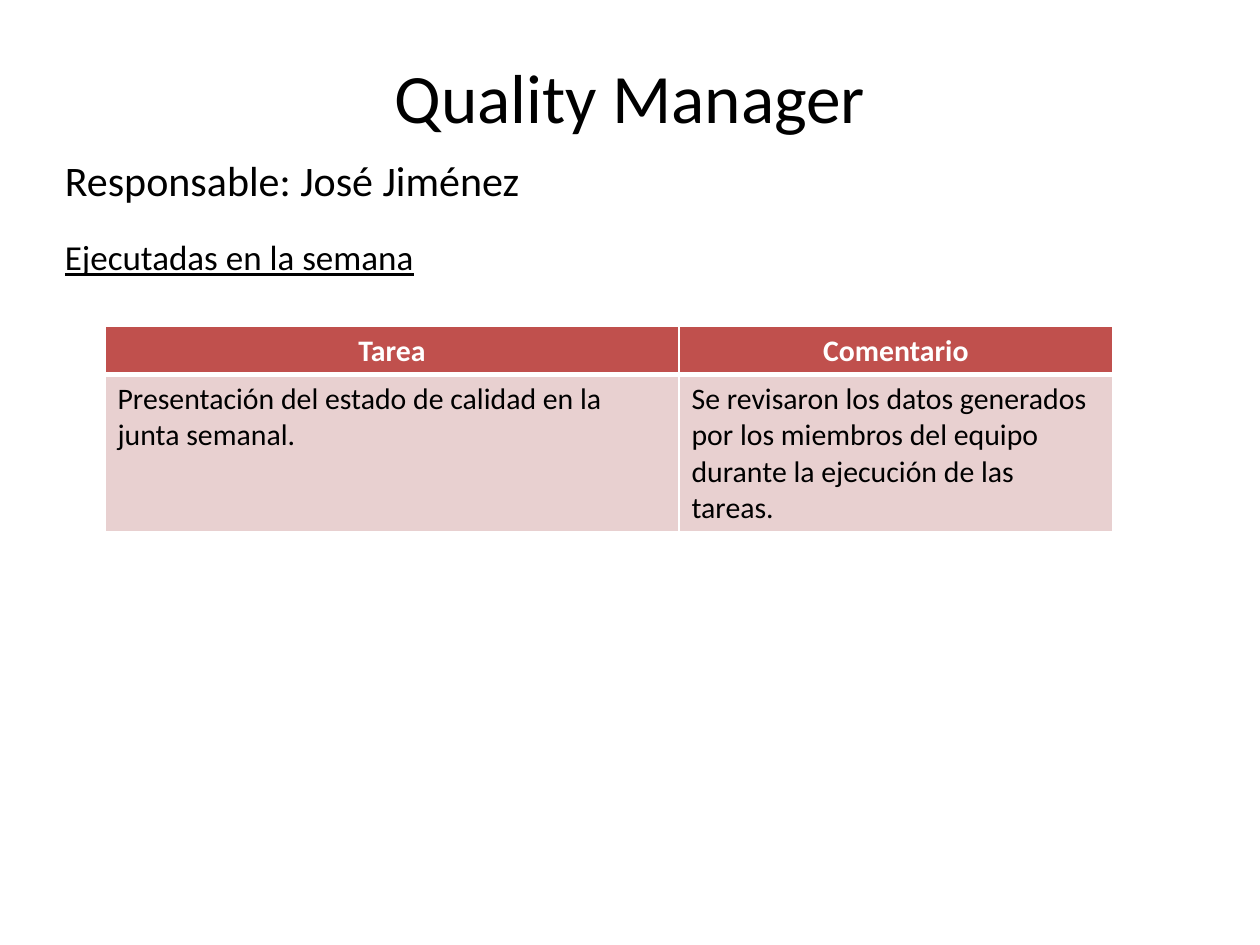
from lxml import etree
from pptx import Presentation
from pptx.dml.color import RGBColor
from pptx.enum import text as t
from pptx.oxml.ns import qn
from pptx.util import Pt

TITLE = "Quality Manager"
LINES = [("Responsable: José Jiménez", 24, False, 0),
         ("Ejecutadas en la semana", 20, True, 18)]
ROWS = [("Tarea", "Comentario"),
        ("Presentación del estado de calidad en la junta semanal.",
         "Se revisaron los datos generados por los miembros del equipo "
         "durante la ejecución de las tareas.")]
WIDTHS = [328, 248]
HEIGHTS = [26.6, 90]
COLORS = {"ink": "000000", "white": "FFFFFF", "head": "C0504D", "body": "E8D0D0"}


def rgb(name):
    return RGBColor.from_string(COLORS[name])


def style(par, size, color="ink", bold=False, align=t.PP_ALIGN.LEFT):
    par.alignment = align
    font = par.font
    font.name, font.size, font.bold = "Calibri", Pt(size), bold
    font.color.rgb = rgb(color)


def edge(cell, low):
    """Draw white cell borders, with the bottom one `low` points wide."""
    props = cell._tc.get_or_add_tcPr()
    for i, (tag, wide) in enumerate([("lnL", 1), ("lnR", 1), ("lnT", 1), ("lnB", low)]):
        line = etree.Element(qn("a:" + tag), w=str(Pt(wide)))
        fill = etree.SubElement(line, qn("a:solidFill"))
        etree.SubElement(fill, qn("a:srgbClr"), val=COLORS["white"])
        props.insert(i, line)


def main():
    deck = Presentation()
    deck.slide_width, deck.slide_height = Pt(720), Pt(540)
    slide = deck.slides.add_slide(deck.slide_layouts[5])

    title = slide.shapes.title
    title.left, title.top, title.width, title.height = map(Pt, (36, 27.4, 648, 50.4))
    frame = title.text_frame
    frame.text = TITLE
    frame.auto_size = t.MSO_AUTO_SIZE.NONE
    frame.vertical_anchor = t.MSO_ANCHOR.TOP
    style(frame.paragraphs[0], 39.6, align=t.PP_ALIGN.CENTER)

    frame = slide.shapes.add_textbox(*map(Pt, (30, 84.5, 672, 90))).text_frame
    frame.word_wrap = True
    for i, (words, size, under, gap) in enumerate(LINES):
        par = frame.add_paragraph() if i else frame.paragraphs[0]
        par.text = words
        style(par, size)
        par.font.underline = under
        par.space_before = Pt(gap)

    table = slide.shapes.add_table(len(ROWS), len(WIDTHS), Pt(60), Pt(186.5),
                                   Pt(sum(WIDTHS)), Pt(sum(HEIGHTS))).table
    for col, wide in zip(table.columns, WIDTHS):
        col.width = Pt(wide)
    for r, row in enumerate(ROWS):
        table.rows[r].height = Pt(HEIGHTS[r])
        head = r == 0
        for c, words in enumerate(row):
            cell = table.cell(r, c)
            cell.text = words
            cell.fill.solid()
            cell.fill.fore_color.rgb = rgb("head" if head else "body")
            edge(cell, 3 if head else 1)
            style(cell.text_frame.paragraphs[0], 17, "white" if head else "ink", head,
                  t.PP_ALIGN.CENTER if head else t.PP_ALIGN.LEFT)

    deck.save("out.pptx")


if __name__ == "__main__":
    main()
